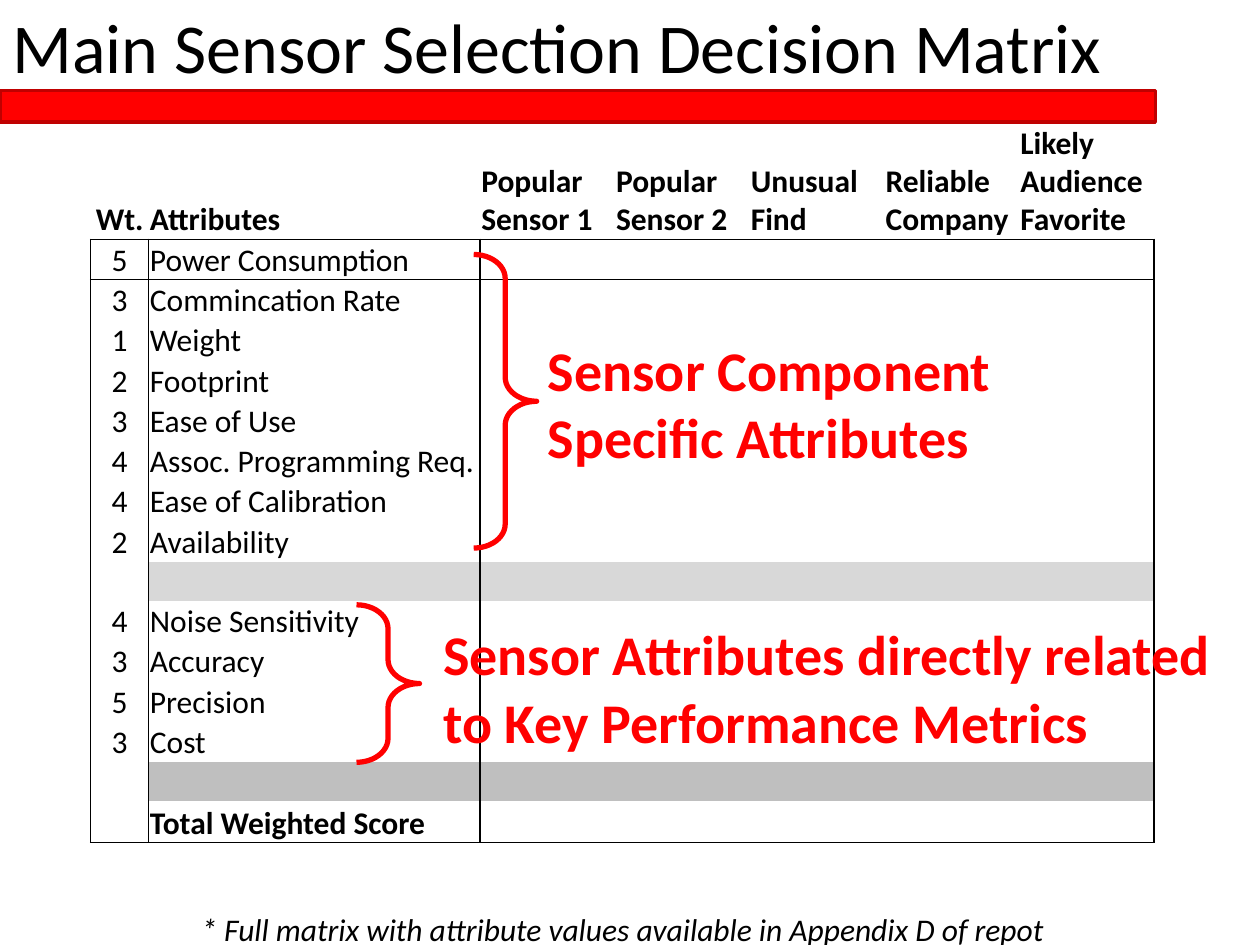
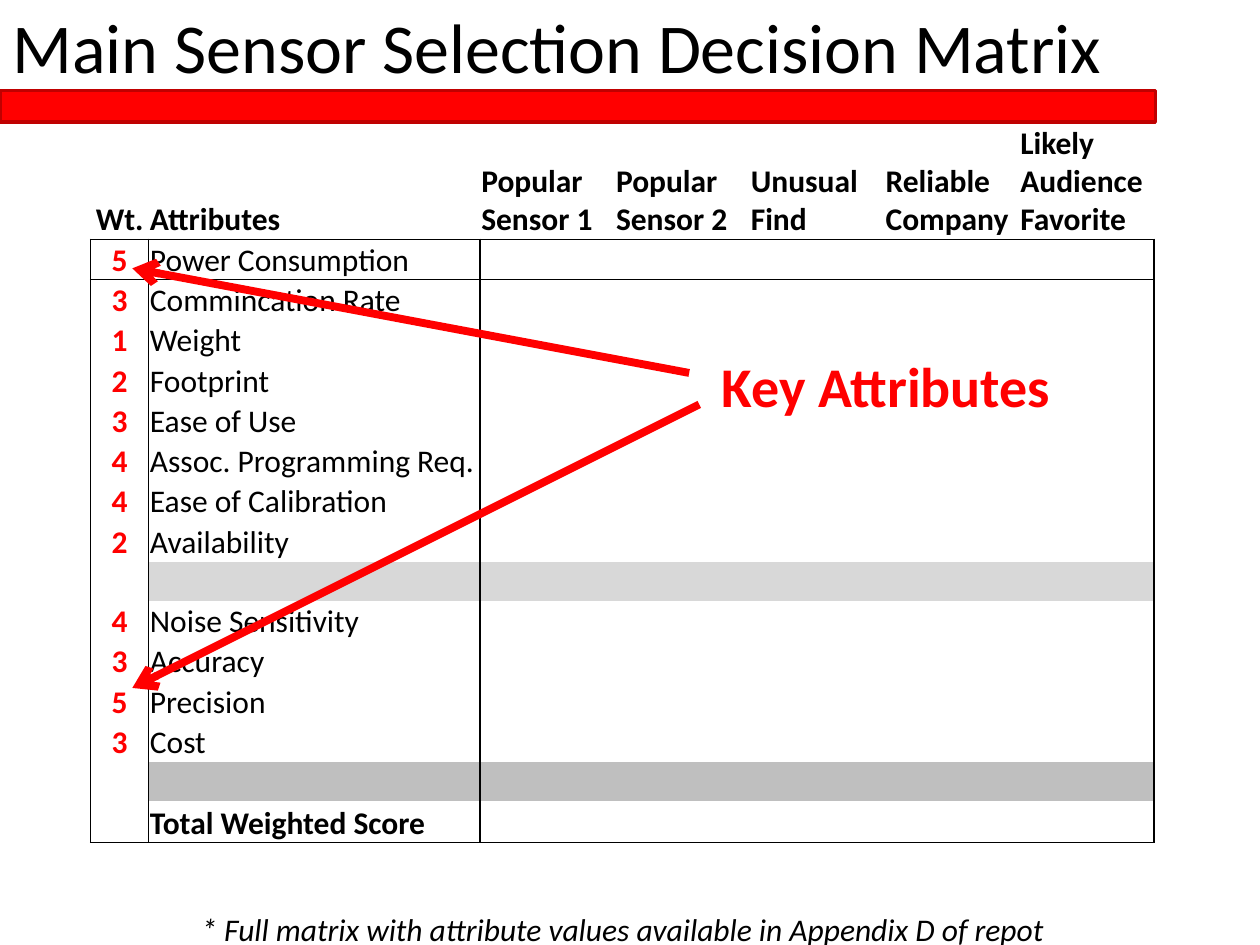
"""Build two slides that present a sensor selection decision matrix."""
from lxml.etree import SubElement
from pptx import Presentation
from pptx.dml.color import RGBColor
from pptx.enum.shapes import MSO_CONNECTOR as Connector, MSO_SHAPE as Shape
from pptx.enum.text import MSO_ANCHOR as Anchor, MSO_AUTO_SIZE as AutoSize, PP_ALIGN as Align
from pptx.oxml.ns import qn
from pptx.util import Inches, Pt

BLACK, RED, DARK_RED = "000000", "FF0000", "C00000"
LIGHT_GRAY, GRAY = "D8D8D8", "BFBFBF"
FONT = "Calibri"
NO_STYLE = "{2D5ABB26-0587-4C30-8999-92F81FD0307C}"
TITLE = "Main Sensor Selection Decision Matrix"
FOOTNOTE = "* Full matrix with attribute values available in Appendix D of repot"

HEADINGS = ["Wt.", "Attributes", "Popular Sensor 1", "Popular Sensor 2",
            "Unusual Find", "Reliable Company", "Likely Audience Favorite"]
COMPONENT_ATTRIBUTES = [
    ("5", "Power Consumption"), ("3", "Commincation Rate"), ("1", "Weight"),
    ("2", "Footprint"), ("3", "Ease of Use"), ("4", "Assoc. Programming Req."),
    ("4", "Ease of Calibration"), ("2", "Availability")]
PERFORMANCE_ATTRIBUTES = [
    ("4", "Noise Sensitivity"), ("3", "Accuracy"), ("5", "Precision"), ("3", "Cost")]
ROWS = [HEADINGS, *COMPONENT_ATTRIBUTES, (), *PERFORMANCE_ATTRIBUTES, (),
        ("", "Total Weighted Score")]
FIRST_BAND = len(COMPONENT_ATTRIBUTES) + 1
SECOND_BAND = FIRST_BAND + len(PERFORMANCE_ATTRIBUTES) + 1
TOTAL = len(ROWS) - 1
LAST_COLUMN = len(HEADINGS) - 1
BAND_FILLS = {FIRST_BAND: LIGHT_GRAY, SECOND_BAND: GRAY}
COLUMN_WIDTHS = [4.6, 26.3] + [10.7] * 5
ROW_HEIGHTS = [9.8] + [3.2] * (TOTAL - 1) + [3.3]
for band in BAND_FILLS:
    ROW_HEIGHTS[band] = 3.1

CALLOUTS = [
    [("Sensor Component Specific Attributes", (42.5, 26.1, 40.8, 11.8)),
     ("Sensor Attributes directly related to Key Performance Metrics",
      (34.2, 48.7, 64.2, 11.8))],
    [("Key Attributes", (56.3, 27.4, 33.3, 6.4))]]
BRACES = [[(37.6, 20.2, 5, 23.3), (28.3, 48, 5, 12.5)], []]
ARROWS = [[], [(54.7, 29.6, 10.5, 21.3), (55.5, 32.1, 10.5, 54.6)]]
WEIGHT_COLORS = [BLACK, RED]

presentation = Presentation()
presentation.slide_width, presentation.slide_height = Inches(10), Inches(7.5)
GRID_UNIT = presentation.slide_width / 100


def grid(*units):
    """Turn hundredths of the slide's width into lengths."""
    return [round(unit * GRID_UNIT) for unit in units]


def write(frame, text, size, color=BLACK, bold=False, italic=False, align=Align.LEFT):
    """Put one formatted run into the first paragraph of a text frame."""
    paragraph = frame.paragraphs[0]
    paragraph.alignment = align
    run = paragraph.add_run()
    run.text = text
    run.font.name, run.font.size = FONT, Pt(size)
    run.font.bold, run.font.italic = bold, italic
    run.font.color.rgb = RGBColor.from_string(color)


for callouts, braces, arrows, weight_color in zip(CALLOUTS, BRACES, ARROWS, WEIGHT_COLORS):
    slide = presentation.slides.add_slide(presentation.slide_layouts[5])

    title_band = slide.shapes.add_shape(Shape.RECTANGLE, *grid(0, 7.2, 91.7, 2.5))
    title_band.shadow.inherit = False
    title_band.fill.solid()
    title_band.fill.fore_color.rgb = RGBColor.from_string(RED)
    title_band.line.color.rgb = RGBColor.from_string(DARK_RED)
    title_band.line.width = Pt(2)

    title = slide.shapes.title
    title.left, title.top, title.width, title.height = grid(0, -0.2, 89.3, 7.7)
    footnote = slide.shapes.add_textbox(*grid(15, 71.7, 69.8, 4))
    for shape in (title, footnote):
        shape.text_frame.word_wrap = False
        shape.text_frame.auto_size = AutoSize.SHAPE_TO_FIT_TEXT
        shape.text_frame.vertical_anchor = Anchor.TOP
    write(title.text_frame, TITLE, 40)
    write(footnote.text_frame, FOOTNOTE, 18, italic=True)

    matrix = slide.shapes.add_table(
        len(ROWS), len(HEADINGS), *grid(7.2, 9.2, sum(COLUMN_WIDTHS), sum(ROW_HEIGHTS)))
    for style in matrix.element.iter(qn("a:tableStyleId")):
        style.text = NO_STYLE
    table = matrix.table
    table.first_row = table.horz_banding = False
    for column, width in zip(table.columns, grid(*COLUMN_WIDTHS)):
        column.width = width
    for row, height in zip(table.rows, grid(*ROW_HEIGHTS)):
        row.height = height

    for row_index, texts in enumerate(ROWS):
        is_heading = row_index == 0
        for column_index in range(len(HEADINGS)):
            cell = table.cell(row_index, column_index)
            is_weight = column_index == 0
            cell.vertical_anchor = Anchor.BOTTOM
            cell.margin_left = cell.margin_right = cell.margin_top = Inches(0.01)
            cell.margin_bottom = 0

            borders = {
                "a:lnL": not is_heading and column_index < 2,
                "a:lnR": not is_heading and column_index in (0, LAST_COLUMN),
                "a:lnT": row_index == 1,
                "a:lnB": row_index in (0, TOTAL)}
            properties = cell._tc.get_or_add_tcPr()
            for tag, is_drawn in borders.items():
                if is_drawn:
                    border = SubElement(properties, qn(tag), w=str(Pt(1)))
                    fill = SubElement(border, qn("a:solidFill"))
                    SubElement(fill, qn("a:srgbClr"), val=BLACK)

            if row_index in BAND_FILLS and not is_weight:
                cell.fill.solid()
                cell.fill.fore_color.rgb = RGBColor.from_string(BAND_FILLS[row_index])
            else:
                cell.fill.background()

            if column_index < len(texts) and texts[column_index]:
                color = weight_color if is_weight and not is_heading else BLACK
                write(cell.text_frame, texts[column_index], 18, color,
                      bold=row_index in (0, TOTAL) or color == RED,
                      align=Align.CENTER if is_weight else Align.LEFT)

    for text, place in callouts:
        callout = slide.shapes.add_textbox(*grid(*place))
        callout.text_frame.word_wrap = True
        callout.text_frame.auto_size = AutoSize.SHAPE_TO_FIT_TEXT
        write(callout.text_frame, text, 32, RED, bold=True)

    for place in braces:
        brace = slide.shapes.add_shape(Shape.RIGHT_BRACE, *grid(*place))
        brace.shadow.inherit = False
        brace.adjustments[0] = 0.38
        brace.fill.background()
        brace.line.color.rgb = RGBColor.from_string(RED)
        brace.line.width = Pt(3)

    for ends in arrows:
        arrow = slide.shapes.add_connector(Connector.STRAIGHT, *grid(*ends))
        arrow.line.color.rgb = RGBColor.from_string(RED)
        arrow.line.width = Pt(4.5)
        SubElement(arrow.line._get_or_add_ln(), qn("a:tailEnd"), type="arrow")
        SubElement(arrow.element.spPr, qn("a:effectLst"))

presentation.save("out.pptx")
